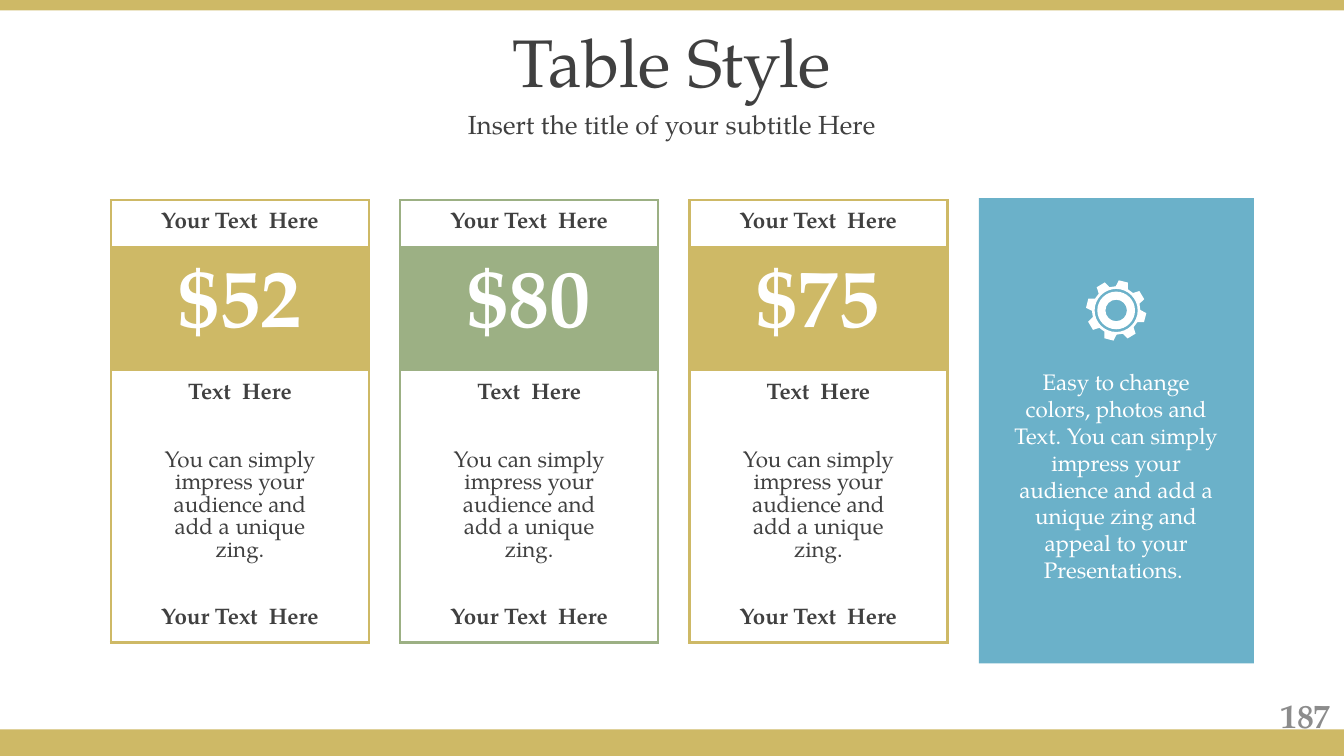
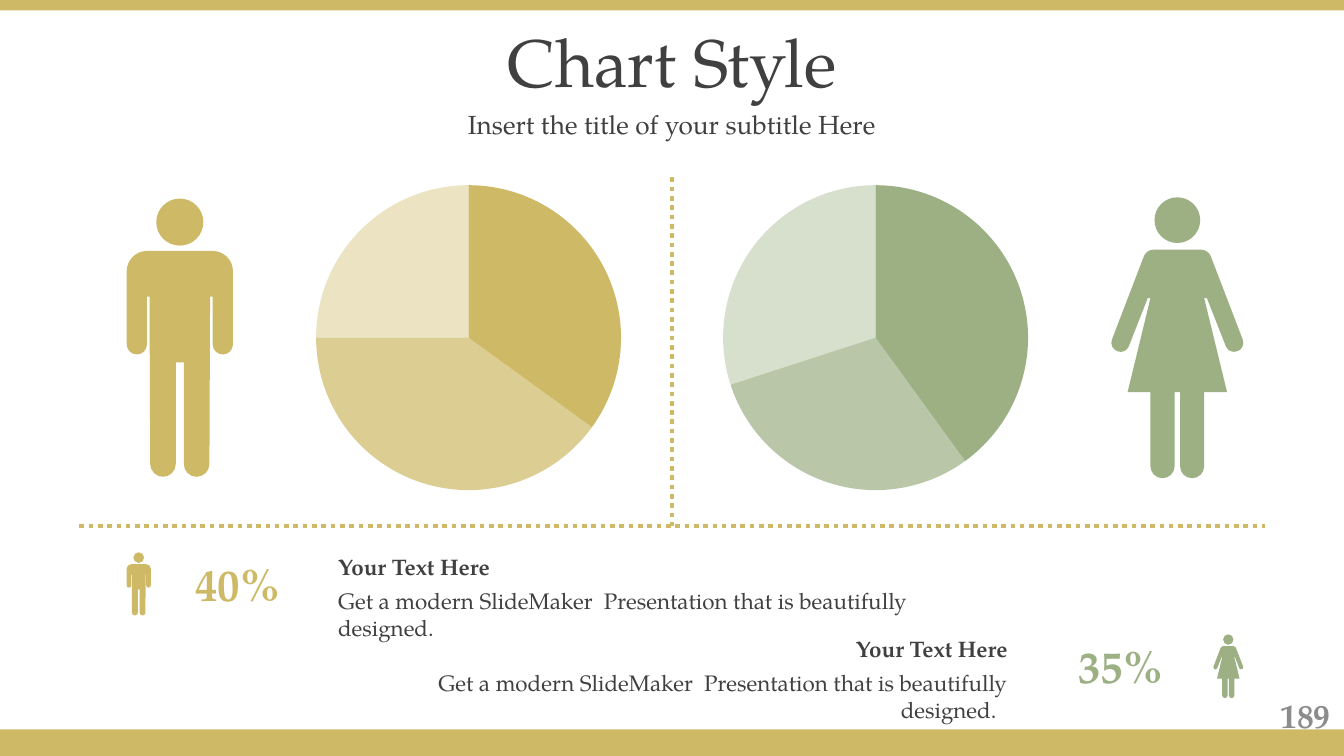
import math

from lxml import etree
from pptx import Presentation
from pptx import util as u
from pptx.chart.data import CategoryChartData
from pptx.dml.color import RGBColor
from pptx.enum import chart as ch, dml, shapes, text
from pptx.oxml import parse_xml
from pptx.oxml.ns import nsdecls, qn

# Grid of square cells: 100 columns by 56.25 rows
SLIDE_W, SLIDE_H = u.Inches(10), u.Inches(5.625)
CELL = SLIDE_W / 100
ROWS = SLIDE_H / CELL

FONT = "TeX Gyre Pagella"
GOLD, GREEN, BLUE = "CEB966", "9CB084", "6BB1C9"
WHITE, INK, GREY = "FFFFFF", "404040", "8C8C8C"
LEFT, CENTER, RIGHT = text.PP_ALIGN.LEFT, text.PP_ALIGN.CENTER, text.PP_ALIGN.RIGHT
TOP, MIDDLE = text.MSO_ANCHOR.TOP, text.MSO_ANCHOR.MIDDLE

# Pricing columns
PLAN_COLS = (2.5, 14.2, 2.5)
PLAN_ROWS = (3.4, 9.3, 3.5, 3.5, 3.5, 6.3, 3.4)
PLAN_LEFT, PLAN_PITCH = 8.26, 21.52
PLANS = (("$52", GOLD), ("$80", GREEN), ("$75", GOLD))
NO_STYLE = "{2D5ABB26-0587-4C30-8999-92F81FD0307C}"

# Right half of each figure as (x, y, corner radius), plus its size and head radius
MAN = dict(width=79, head=17.5, half=(
    (79, 39, 15), (79, 116, 7.5), (64, 116, 7.5), (64, 73, 0), (62, 73, 0),
    (61.5, 207, 9.5), (42.5, 207, 9.5), (42.5, 122, 0)))
WOMAN = dict(width=98, head=17, half=(
    (72, 39, 5), (100, 112, 6.5), (87.5, 117, 6.5), (71, 75, 0), (69, 75, 0),
    (86, 145, 0), (69, 145, 0), (69, 209, 9), (51, 209, 9), (51, 145, 0)))
FIGURE_SCALE, ICON_SCALE = 0.1, 0.0227


def grid(*cells):
    return [round(c * CELL) for c in cells]


def color(hex_code):
    return RGBColor.from_string(hex_code)


# Basic elements
def write(frame, words, size, hue, bold=False, align=CENTER):
    line = frame.paragraphs[0]
    line.alignment = align
    run = line.add_run()
    run.text = words
    run.font.name, run.font.size, run.font.bold = FONT, u.Pt(size), bold
    run.font.color.rgb = color(hue)


def label(slide, box, words, size, hue=INK, bold=False, align=CENTER, anchor=MIDDLE):
    frame = slide.shapes.add_textbox(*grid(*box)).text_frame
    frame.word_wrap = True
    frame.vertical_anchor = anchor
    write(frame, words, size, hue, bold, align)


def paint(shape, hue):
    shape.shadow.inherit = False
    shape.fill.solid()
    shape.fill.fore_color.rgb = color(hue)
    shape.line.fill.background()


def block(slide, box, hue):
    paint(slide.shapes.add_shape(shapes.MSO_SHAPE.RECTANGLE, *grid(*box)), hue)


def dotted_line(slide, start, end):
    rule = slide.shapes.add_connector(
        shapes.MSO_CONNECTOR.STRAIGHT, *grid(*start), *grid(*end))
    rule.line.color.rgb = color(GOLD)
    rule.line.width = u.Pt(2.5)
    rule.line.dash_style = dml.MSO_LINE.ROUND_DOT
    etree.SubElement(rule._element.spPr, qn("a:effectLst"))


# Outlines: a contour is a list of steps, one point for a line, three for a curve
def outline(slide, contours, hue):
    contours = [[[grid(*point) for point in step] for step in contour]
                for contour in contours]
    builder = slide.shapes.build_freeform(*contours[0][0][-1])
    for index, contour in enumerate(contours):
        if index:
            builder.move_to(*contour[0][-1])
        builder.add_line_segments([step[-1] for step in contour[1:]], close=True)
    shape = builder.convert_to_shape()
    # Turn the segments that have control points into curves
    steps = [step for contour in contours for step in contour[1:]]
    for segment, step in zip(list(shape._element.iter(qn("a:lnTo"))), steps):
        if len(step) == 3:
            segment.tag = qn("a:cubicBezTo")
            for index, (x, y) in enumerate(step[:2]):
                segment.insert(index, parse_xml(
                    f'<a:pt {nsdecls("a")} x="{x - shape.left}" y="{y - shape.top}"/>'))
    paint(shape, hue)


def toward(start, end, distance):
    share = distance / math.dist(start, end)
    return tuple(a + (b - a) * share for a, b in zip(start, end))


def rounded(corners):
    steps = []
    for i, (x, y, radius) in enumerate(corners):
        corner = (x, y)
        if not radius:
            steps.append([corner])
            continue
        before, after = corners[i - 1][:2], corners[(i + 1) % len(corners)][:2]
        start = toward(corner, before, radius)
        if not steps or math.dist(steps[-1][-1], start) > radius / 10:
            steps.append([start])
        steps.append([toward(corner, before, radius * 0.45),
                      toward(corner, after, radius * 0.45),
                      toward(corner, after, radius)])
    return steps


def circle(cx, cy, radius):
    return rounded([(cx + radius * dx, cy + radius * dy, radius)
                    for dx, dy in ((-1, -1), (1, -1), (1, 1), (-1, 1))])


def polar(cx, cy, radius, degrees):
    angle = math.radians(degrees)
    return cx + radius * math.sin(angle), cy - radius * math.cos(angle)


def figure(slide, left, top, person, scale, hue):
    width, head = person["width"], person["head"]
    mirrored = [(width - x, y, r) for x, y, r in reversed(person["half"])]
    contours = (rounded([*person["half"], *mirrored]), circle(width / 2, head, head))
    outline(slide, [[[(left + x * scale, top + y * scale) for x, y in step]
                     for step in contour] for contour in contours], hue)


def gear(slide, cx, cy, hue):
    teeth = [[polar(cx, cy, radius, 14 + 45 * tooth + turn)] for tooth in range(8)
             for turn, radius in ((-15, 1.8), (-9, 2.25), (9, 2.25), (15, 1.8))]
    outline(slide, [teeth, *(circle(cx, cy, r) for r in (1.6, 1.4, 0.8))], hue)


# Tables
def border(cell, side, hue):
    cell._tc.get_or_add_tcPr().append(parse_xml(
        f'<a:{side} {nsdecls("a")} w="{u.Pt(1.5)}"><a:solidFill>'
        f'<a:srgbClr val="{hue}"/></a:solidFill></a:{side}>'))


def plan_table(slide, left, top, price, hue):
    n_rows, n_cols = len(PLAN_ROWS), len(PLAN_COLS)
    table = slide.shapes.add_table(
        n_rows, n_cols, *grid(left, top, sum(PLAN_COLS), sum(PLAN_ROWS))).table
    table.first_row = table.horz_banding = False
    table._tbl.tblPr.find(qn("a:tableStyleId")).text = NO_STYLE
    for column, width in zip(table.columns, grid(*PLAN_COLS)):
        column.width = width
    for row, height in zip(table.rows, grid(*PLAN_ROWS)):
        row.height = height

    for r in (0, 1, n_rows - 1):
        table.cell(r, 0).merge(table.cell(r, n_cols - 1))
    table.cell(3, 1).merge(table.cell(5, 1))

    for r in range(n_rows):
        for c in range(n_cols):
            cell = table.cell(r, c)
            span = cell.span_width if cell.is_merge_origin else 1
            edges = (("lnL", c == 0), ("lnR", c + span == n_cols),
                     ("lnT", r == 0), ("lnB", r == n_rows - 1))
            for side, outer in edges:
                if outer:
                    border(cell, side, hue)
            cell.fill.solid()
            cell.fill.fore_color.rgb = color(hue if r == 1 else WHITE)
            cell.vertical_anchor = MIDDLE
            cell.margin_top = cell.margin_bottom = 0

    entries = (
        (0, 0, "Your Text  Here", 12, INK, True),
        (1, 0, price, 44, WHITE, True),
        (2, 1, "Text  Here", 12, INK, True),
        (3, 1, "You can simply impress your audience and add a unique zing.",
         12, INK, False),
        (n_rows - 1, 0, "Your Text  Here", 12, INK, True))
    for r, c, words, size, ink, bold in entries:
        write(table.cell(r, c).text_frame, words, size, ink, bold)


# Charts
def pie(slide, left, top, values, hue):
    data = CategoryChartData()
    data.categories = ["1", "2", "3"]
    data.add_series("Series 1", values)
    chart = slide.shapes.add_chart(
        ch.XL_CHART_TYPE.PIE, *grid(left, top, 25.5, 25.5), data).chart
    chart.has_legend = chart.has_title = False
    chart.font.name, chart.font.size = FONT, u.Pt(18)
    chart.font.color.rgb = color("000000")
    plot = chart.plots[0]
    plot.vary_by_categories = False
    for index, opacity in enumerate((100, 70, 40)):
        slice_format = plot.series[0].points[index].format
        slice_format.fill.solid()
        slice_format.fill.fore_color.rgb = color(hue)
        slice_format.line.fill.background()
        if opacity < 100:
            tint = slice_format.fill._xPr.find(".//" + qn("a:srgbClr"))
            etree.SubElement(tint, qn("a:alpha"), val=str(opacity * 1000))
    # Fixed plot area inside the frame
    area = chart._chartSpace.find(".//" + qn("c:plotArea"))
    for layout in area.findall(qn("c:layout")):
        area.remove(layout)
    sizes = "".join(f'<c:{key} val="{share}"/>' for key, share in
                    (("x", 0.055), ("y", 0.055), ("w", 0.89), ("h", 0.89)))
    area.insert(0, parse_xml(
        f'<c:layout {nsdecls("c")}><c:manualLayout><c:layoutTarget val="inner"/>'
        f'<c:xMode val="edge"/><c:yMode val="edge"/>{sizes}'
        f'</c:manualLayout></c:layout>'))


# Slides
def base_slide(deck, title, number):
    slide = deck.slides.add_slide(deck.slide_layouts[6])
    block(slide, (0, ROWS - 1.97, 100, 1.97), GOLD)
    block(slide, (0, 0, 100, 0.78), GOLD)
    label(slide, (0, 1.4, 100, 6.3), title, 36)
    label(slide, (0, 7.7, 100, 3.1), "Insert the title of your subtitle Here", 14)
    label(slide, (76.7, 51.74, 23.3, 3), number, 18, GREY, True, RIGHT)
    return slide


def table_slide(deck):
    slide = base_slide(deck, "Table Style", "187")
    for index, (price, hue) in enumerate(PLANS):
        plan_table(slide, PLAN_LEFT + index * PLAN_PITCH, 14.9, price, hue)
    # Side panel
    block(slide, (72.83, 14.74, 20.47, 34.62), BLUE)
    gear(slide, 83.05, 23.1, WHITE)
    label(slide, (74, 26.9, 18.1, 17.2),
          "Easy to change colors, photos and Text. You can simply impress your "
          "audience and add a unique zing and appeal to your Presentations. ",
          12, WHITE, anchor=TOP)


def chart_slide(deck):
    slide = base_slide(deck, "Chart Style", "189")
    pie(slide, 52.4, 12.38, (40, 30, 30), GREEN)
    pie(slide, 22.12, 12.38, (35, 40, 25), GOLD)
    figure(slide, 9.43, 14.78, MAN, FIGURE_SCALE, GOLD)
    figure(slide, 82.7, 14.68, WOMAN, FIGURE_SCALE, GREEN)
    dotted_line(slide, (50, 13.2), (50, 39.13))
    dotted_line(slide, (5.9, 39.13), (94.1, 39.13))
    # Legend rows
    detail = "Get a modern SlideMaker  Presentation that is beautifully designed."
    legend = ((MAN, 9.43, "40%", 12.93, GOLD, LEFT, detail),
              (WOMAN, 90.28, "35%", 78.63, GREEN, RIGHT, detail + "  "))
    for index, (person, icon_x, share, share_x, hue, align, words) in enumerate(legend):
        top = 40.7 + index * 6.1
        figure(slide, icon_x, top + 0.4, person, ICON_SCALE, hue)
        label(slide, (share_x, top + 0.2, 9.5, 5), share, 24, hue, True)
        label(slide, (24.17, top + 2.5, 51.8, 3), words, 12, align=align, anchor=TOP)
        label(slide, (24.17, top, 51.8, 3), "Your Text Here", 12, INK, True, align, TOP)


def main():
    deck = Presentation()
    deck.slide_width, deck.slide_height = SLIDE_W, SLIDE_H
    table_slide(deck)
    chart_slide(deck)
    deck.save("out.pptx")


if __name__ == "__main__":
    main()
